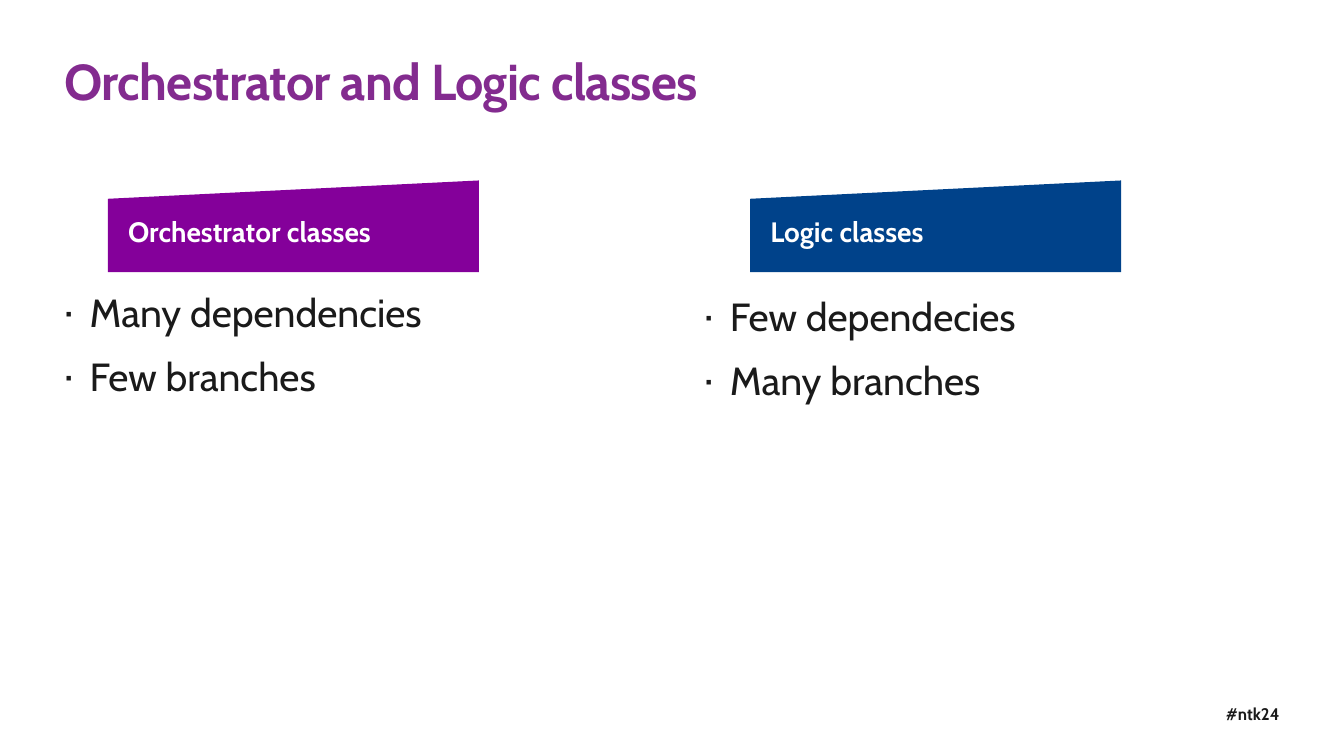
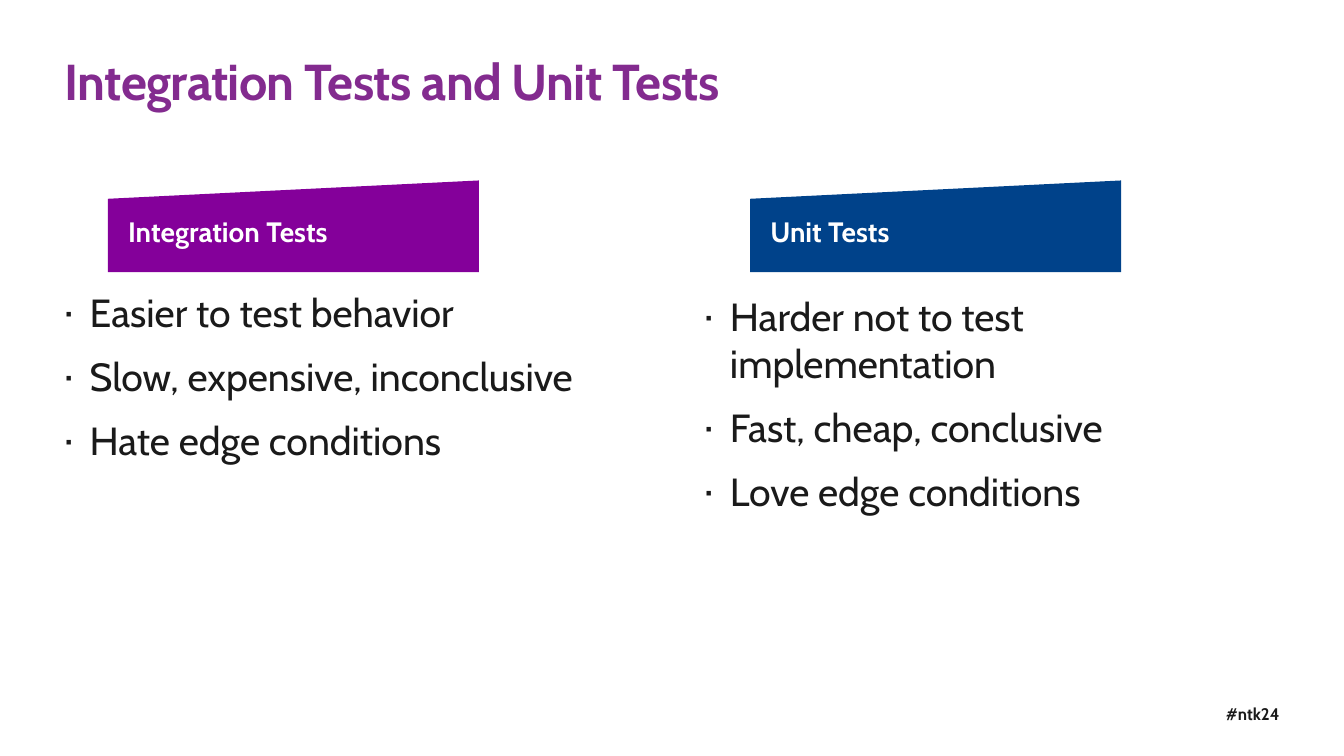
from dataclasses import dataclass

from lxml import etree
from pptx import Presentation
from pptx import util as u
from pptx.dml.color import RGBColor
from pptx.enum import shapes, text
from pptx.oxml.ns import qn

FONT = "Cabin"
INK, WHITE = "1A1A1A", "FFFFFF"
TITLE_COLOR = "832B8F"
BAND_COLORS = ("84009A", "00428A")

SLIDE_W, SLIDE_H = 13.33, 7.5
MARGIN, GUTTER = 0.64, 0.65
CONTENT_W = SLIDE_W - 2 * MARGIN
COL_W = (CONTENT_W - GUTTER) / 2
COL_PITCH = COL_W + GUTTER
BAND_LEFT, BAND_PITCH = 1.07, 6.37
LIST_TOP, LIST_STEP = 2.86, 0.04
LINE_H, LIST_GAP = 0.47, 12.2


@dataclass(frozen=True)
class Box:
    left: float
    top: float
    width: float
    height: float

    def emu(self) -> tuple:
        return tuple(u.Inches(v) for v in (self.left, self.top, self.width, self.height))


@dataclass(frozen=True)
class Style:
    size: float
    color: str
    bold: bool = False
    spacing: float = 0


@dataclass(frozen=True)
class Column:
    heading: str
    points: tuple[str, ...]


@dataclass(frozen=True)
class Comparison:
    title: str
    columns: tuple[Column, ...]


TITLE = Style(36, TITLE_COLOR, True, -0.5)
HEADING = Style(20, WHITE, True)
BODY = Style(28, INK)
FOOTER = Style(12, INK, True)

TITLE_BOX = Box(MARGIN, 0.5, CONTENT_W, 0.61)
FOOTER_BOX = Box(12.16, 6.98, 1.06, 0.2)

COMPARISONS = (
    Comparison("Orchestrator and Logic classes", (
        Column("Orchestrator classes", ("Many dependencies", "Few branches")),
        Column("Logic classes", ("Few dependecies", "Many branches")),
    )),
    Comparison("Integration Tests and Unit Tests", (
        Column("Integration Tests", (
            "Easier to test behavior",
            "Slow, expensive, inconclusive",
            "Hate edge conditions",
        )),
        Column("Unit Tests", (
            "Harder not to test implementation",
            "Fast, cheap, conclusive",
            "Love edge conditions",
        )),
    )),
)


def rgb(value: str) -> RGBColor:
    return RGBColor.from_string(value)


def setup_frame(tf, inset_x: float = 0, inset_y: float = 0) -> None:
    tf.word_wrap = True
    tf.vertical_anchor = text.MSO_ANCHOR.TOP
    tf.margin_left = tf.margin_right = u.Inches(inset_x)
    tf.margin_top = tf.margin_bottom = u.Inches(inset_y)


def add_run(p, words: str, style: Style) -> None:
    p.alignment = text.PP_ALIGN.LEFT
    r = p.add_run()
    r.text = words
    r.font.name = FONT
    r.font.size = u.Pt(style.size)
    r.font.bold = style.bold
    r.font.color.rgb = rgb(style.color)
    if style.spacing:
        r.font._element.set("spc", str(round(style.spacing * 100)))


def add_bullet(p) -> None:
    p.space_before = u.Pt(LIST_GAP)
    pPr = p._p.get_or_add_pPr()
    indent = u.Inches(0.25)
    pPr.set("marL", str(indent))
    pPr.set("indent", str(-indent))
    color = etree.SubElement(pPr, qn("a:buClr"))
    etree.SubElement(color, qn("a:srgbClr"), val=INK)
    etree.SubElement(pPr, qn("a:buSzPct"), val="90000")
    etree.SubElement(pPr, qn("a:buFont"), typeface=FONT)
    etree.SubElement(pPr, qn("a:buChar"), char="·")


def add_text(s, box: Box, lines: tuple[str, ...], style: Style, bullets: bool = False) -> None:
    tf = s.shapes.add_textbox(*box.emu()).text_frame
    setup_frame(tf)
    for i, line in enumerate(lines):
        p = tf.add_paragraph() if i else tf.paragraphs[0]
        if bullets:
            add_bullet(p)
        add_run(p, line, style)


def add_band(s, box: Box, heading: str, color: str) -> None:
    sp = s.shapes.add_shape(shapes.MSO_SHAPE.FLOWCHART_MANUAL_INPUT, *box.emu())
    sp.shadow.inherit = False
    sp.fill.solid()
    sp.fill.fore_color.rgb = rgb(color)
    sp.line.fill.background()
    setup_frame(sp.text_frame, 0.2, 0.16)
    add_run(sp.text_frame.paragraphs[0], heading, HEADING)


def add_column(s, index: int, column: Column) -> None:
    count = len(column.points)
    height = count * LINE_H + (count - 1) * LIST_GAP / 72
    list_box = Box(MARGIN + index * COL_PITCH, LIST_TOP + index * LIST_STEP, COL_W, height)
    add_text(s, list_box, column.points, BODY, bullets=True)
    band_box = Box(BAND_LEFT + index * BAND_PITCH, 1.79, 3.68, 0.91)
    add_band(s, band_box, column.heading, BAND_COLORS[index])


def add_comparison(prs, comparison: Comparison) -> None:
    s = prs.slides.add_slide(prs.slide_layouts[6])
    s.background.fill.solid()
    s.background.fill.fore_color.rgb = rgb(WHITE)
    add_text(s, FOOTER_BOX, ("#ntk24",), FOOTER)
    add_text(s, TITLE_BOX, (comparison.title,), TITLE)
    for i, column in enumerate(comparison.columns):
        add_column(s, i, column)


def main() -> None:
    prs = Presentation()
    prs.slide_width, prs.slide_height = u.Inches(SLIDE_W), u.Inches(SLIDE_H)
    for comparison in COMPARISONS:
        add_comparison(prs, comparison)
    prs.save("out.pptx")


if __name__ == "__main__":
    main()
